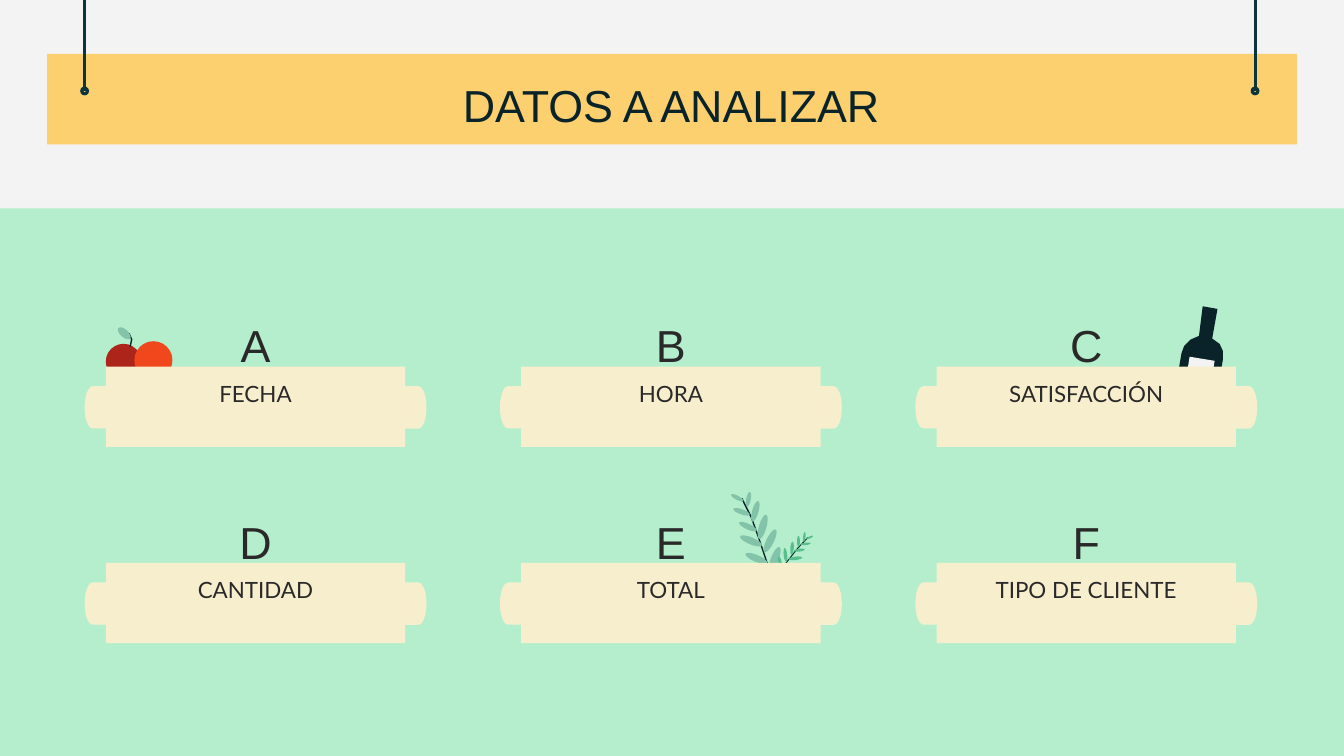
import math
import pptx
import pptx.dml.color
import pptx.enum.shapes
import pptx.enum.text
import pptx.util
from lxml import etree

Cm = pptx.util.Cm
Pt = pptx.util.Pt
RGBColor = pptx.dml.color.RGBColor
MSO_SHAPE = pptx.enum.shapes.MSO_SHAPE
MSO_ANCHOR = pptx.enum.text.MSO_ANCHOR

PALE = RGBColor(0xF3, 0xF3, 0xF3)
MINT = RGBColor(0xB5, 0xEE, 0xCC)
DARK = RGBColor(0x09, 0x23, 0x29)
CORD = RGBColor(0x0C, 0x34, 0x3D)
YELLOW = RGBColor(0xFC, 0xD0, 0x6F)
CREAM = RGBColor(0xF7, 0xEE, 0xCE)
TEXT = RGBColor(0x2A, 0x29, 0x29)
SAGE = RGBColor(0x83, 0xC3, 0xA9)
GREEN = RGBColor(0x57, 0xBF, 0x8E)
RED = RGBColor(0xAD, 0x24, 0x1B)
ORANGE = RGBColor(0xF1, 0x47, 0x1D)

deck = pptx.Presentation()
deck.slide_width = Cm(25.4)
deck.slide_height = Cm(14.29)
slide = deck.slides.add_slide(deck.slide_layouts[6])
slide.background.fill.solid()
slide.background.fill.fore_color.rgb = PALE
shapes = slide.shapes


def paint(shape, color):
    shape.shadow.inherit = False
    shape.fill.solid()
    shape.fill.fore_color.rgb = color
    shape.line.fill.background()
    return shape


def write(shape, words, font, size, color, anchor):
    frame = shape.text_frame
    frame.word_wrap = True
    frame.vertical_anchor = anchor
    frame.text = words
    paragraph = frame.paragraphs[0]
    paragraph.alignment = pptx.enum.text.PP_ALIGN.CENTER
    run = paragraph.runs[0]
    run.font.name = font
    run.font.size = Pt(size)
    run.font.color.rgb = color


paint(shapes.add_shape(MSO_SHAPE.RECTANGLE, 0, Cm(3.94), Cm(25.4), Cm(10.35)), MINT)

bottle_outline = [
    (22.73, 5.79), (22.66, 6.35), (22.5, 6.42), (22.38, 6.54), (22.33, 6.68),
    (22.07, 8.2), (22.1, 8.3), (22.2, 8.36), (22.71, 8.43), (22.81, 8.41),
    (22.86, 8.33), (23.11, 6.81), (23.11, 6.63), (23.05, 6.5), (22.91, 6.4),
    (23.01, 5.84)]
fruit_stem = [(2.44, 6.3), (2.49, 6.42), (2.46, 6.55)]
sage_stem = [(14.02, 9.42), (14.2, 9.78), (14.35, 10.2), (14.5, 10.65), (14.66, 11.35)]
green_stem = [(15.27, 10.16), (15.08, 10.36), (14.85, 10.65), (14.58, 11.07)]

corners = [(Cm(x), Cm(y)) for x, y in bottle_outline]
bottle = shapes.build_freeform(*corners[0])
bottle.add_line_segments(corners[1:])
paint(bottle.convert_to_shape(), DARK)
label = paint(shapes.add_shape(MSO_SHAPE.RECTANGLE, Cm(22.45), Cm(6.78), Cm(0.48), Cm(0.36)), PALE)
label.rotation = 9.2

for left, top, size, color in [(2, 6.5, 0.67, RED), (2.54, 6.45, 0.72, ORANGE)]:
    paint(shapes.add_shape(MSO_SHAPE.OVAL, Cm(left), Cm(top), Cm(size), Cm(size)), color)

for stem, width in [(fruit_stem, 0.75), (sage_stem, 0.75), (green_stem, 0.5)]:
    bends = [(Cm(x), Cm(y)) for x, y in stem]
    builder = shapes.build_freeform(*bends[0])
    builder.add_line_segments(bends[1:], close=False)
    twig = builder.convert_to_shape()
    twig.shadow.inherit = False
    twig.fill.background()
    twig.line.color.rgb = DARK
    twig.line.width = Pt(width)

fruit_leaf = [(2.46, 6.4, 2.24, 6.2)]
sage_leaves = [
    (14.55, 10.8, 14.73, 10.34), (14.45, 10.44, 14.66, 10.01),
    (14.35, 10.19, 14.48, 9.73), (14.22, 9.86, 14.33, 9.47),
    (14.12, 9.58, 14.17, 9.3), (14.05, 9.47, 13.82, 9.35),
    (14.17, 9.73, 13.86, 9.62), (14.3, 10.03, 13.97, 9.88),
    (14.4, 10.31, 13.99, 10.14), (14.5, 10.64, 14.09, 10.47)]
green_leaves = [
    (14.76, 10.8, 14.72, 10.52), (14.86, 10.62, 14.83, 10.36),
    (14.96, 10.49, 14.98, 10.24), (15.09, 10.34, 15.09, 10.13),
    (15.19, 10.24, 15.21, 10.06), (15.24, 10.19, 15.37, 10.13),
    (15.14, 10.29, 15.32, 10.27), (15.01, 10.41, 15.21, 10.39),
    (14.91, 10.57, 15.16, 10.54), (14.81, 10.72, 15.06, 10.69)]
for leaves, color, plump in [(fruit_leaf, SAGE, 0.25), (sage_leaves, SAGE, 0.15), (green_leaves, GREEN, 0.13)]:
    for x, y, tip_x, tip_y in leaves:
        dx, dy = tip_x - x, tip_y - y
        rim = []
        for step in range(16):
            along = (1 - math.cos(math.pi * step / 8)) / 2
            bulge = plump * math.sin(math.pi * step / 8)
            rim.append((Cm(x + along * dx - bulge * dy), Cm(y + along * dy + bulge * dx)))
        leaf = shapes.build_freeform(*rim[0])
        leaf.add_line_segments(rim[1:])
        paint(leaf.convert_to_shape(), color)

paint(shapes.add_shape(MSO_SHAPE.RECTANGLE, Cm(0.89), Cm(1.02), Cm(23.62), Cm(1.71)), YELLOW)
for x in (1.6, 23.72):
    cord = shapes.add_connector(pptx.enum.shapes.MSO_CONNECTOR.STRAIGHT, Cm(x), 0, Cm(x), Cm(1.72))
    cord.line.color.rgb = CORD
    cord.line.width = Pt(1.5)
    etree.SubElement(cord._element.spPr, pptx.oxml.ns.qn("a:effectLst"))
    ring = paint(shapes.add_shape(MSO_SHAPE.DONUT, Cm(x - 0.07), Cm(1.65), Cm(0.14), Cm(0.14)), CORD)
    ring.line.color.rgb = CORD
    ring.line.width = Pt(0.75)

title = shapes.add_textbox(Cm(3.81), Cm(1.17), Cm(17.75), Cm(1.6))
write(title, "DATOS A ANALIZAR", "Arial", 24, DARK, MSO_ANCHOR.MIDDLE)

fields = ["FECHA", "HORA", "SATISFACCIÓN", "CANTIDAD", "TOTAL", "TIPO DE CLIENTE"]
for index, field in enumerate(fields):
    row, column = divmod(index, 3)
    left = 2 + column * 7.85
    top = 6.93 + row * 3.71
    for offset, turn in [(-0.4, 0), (5.14, 180)]:
        handle = paint(shapes.add_shape(
            MSO_SHAPE.FLOWCHART_STORED_DATA, Cm(left + offset), Cm(top + 0.37), Cm(0.92), Cm(0.8)), CREAM)
        handle.rotation = turn
    plate = paint(shapes.add_shape(MSO_SHAPE.RECTANGLE, Cm(left), Cm(top), Cm(5.66), Cm(1.52)), CREAM)
    plate.text_frame.margin_top = Cm(0.25)
    write(plate, field, "Lato", 12, TEXT, MSO_ANCHOR.TOP)
    letter = shapes.add_textbox(Cm(left), Cm(top - 1.17), Cm(5.66), Cm(1.27))
    letter.text_frame.margin_top = letter.text_frame.margin_bottom = 0
    write(letter, "ABCDEF"[index], "Arial", 24, TEXT, MSO_ANCHOR.BOTTOM)

deck.save("out.pptx")
